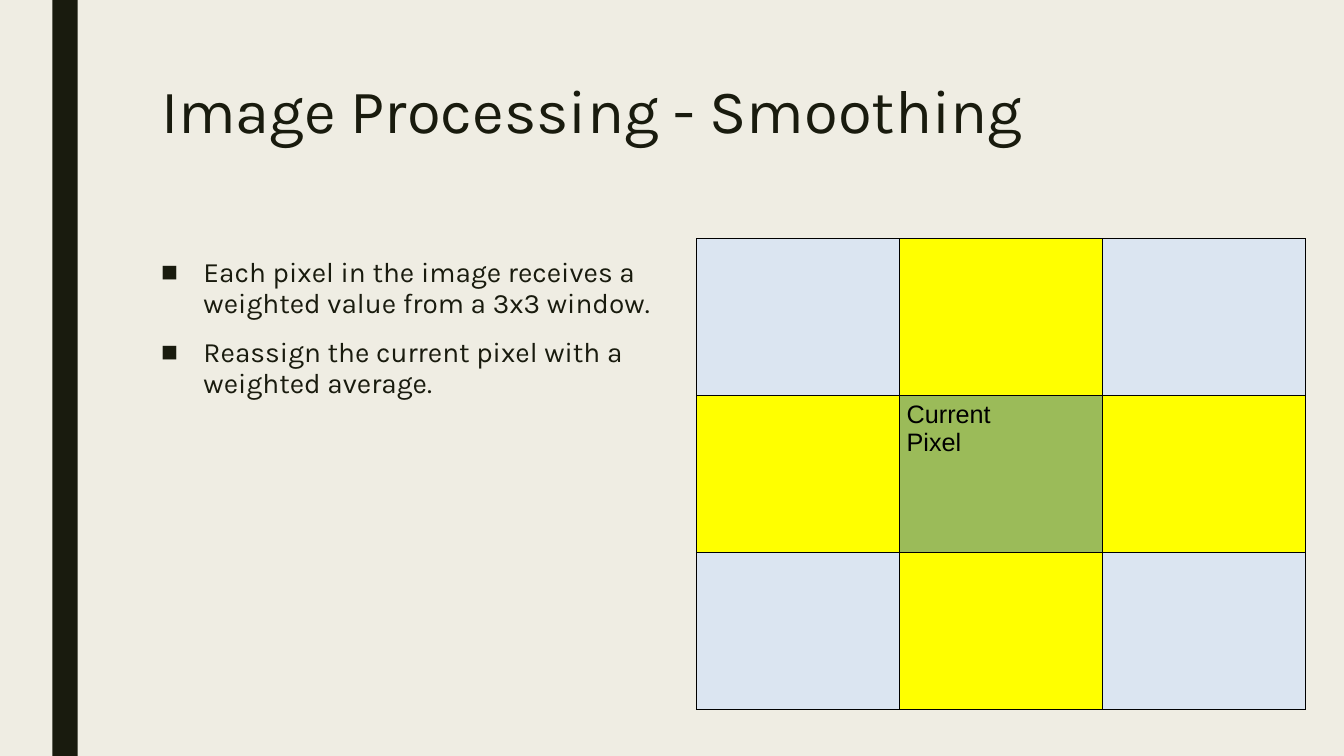
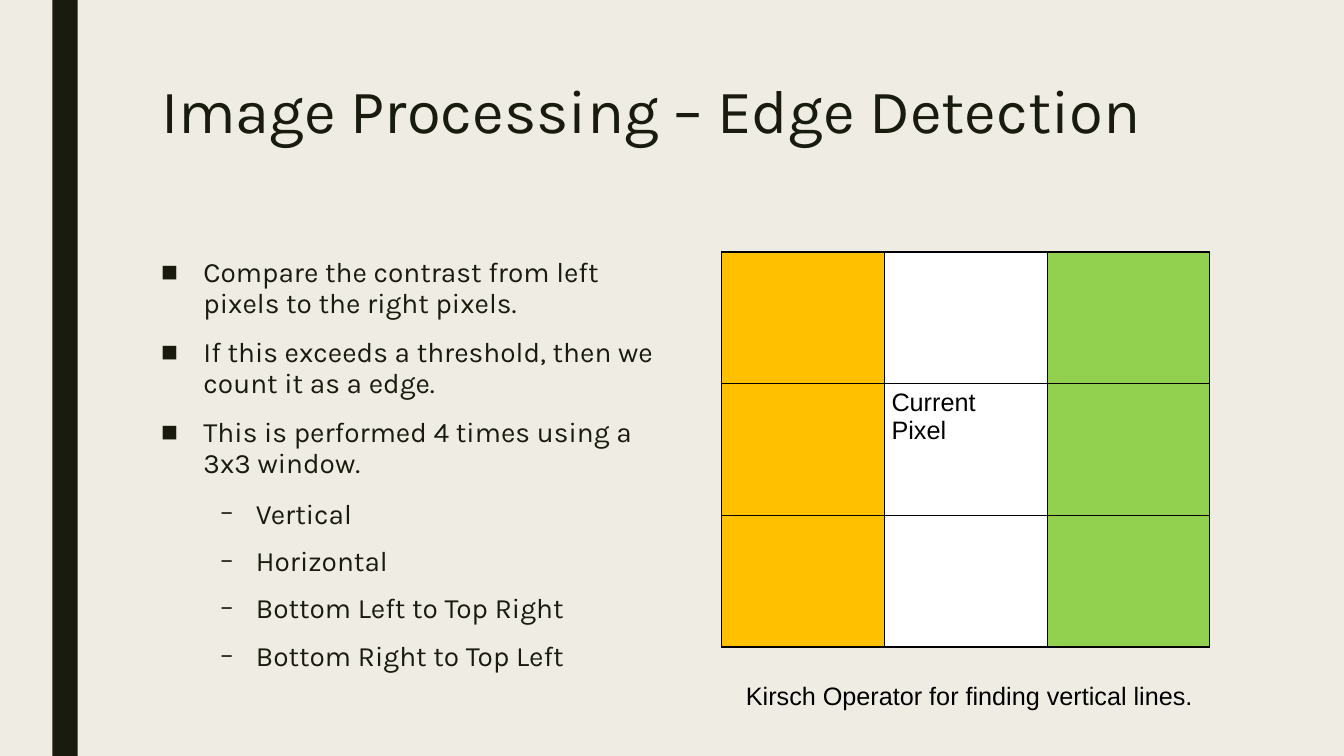
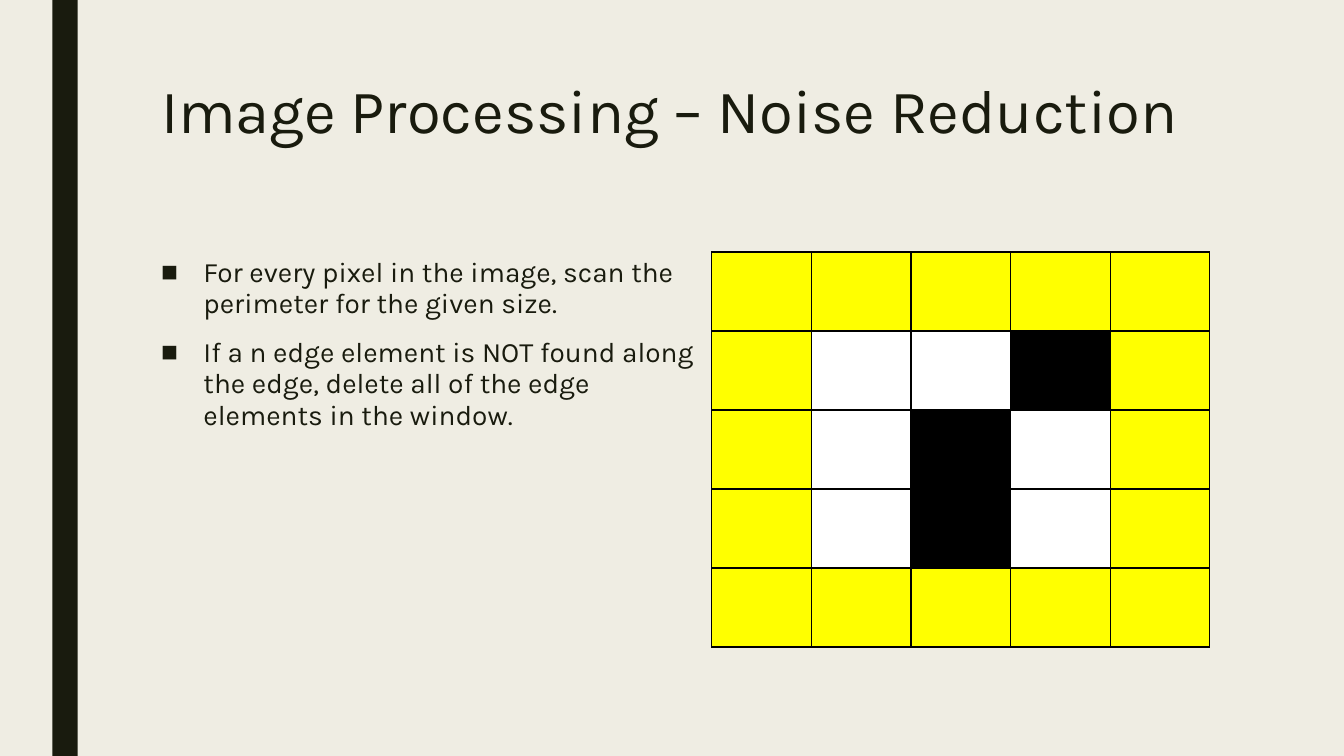
from lxml import etree
from pptx import Presentation
from pptx.dml.color import RGBColor
from pptx.enum.shapes import MSO_SHAPE
from pptx.enum.text import MSO_ANCHOR
from pptx.oxml.ns import qn
from pptx.util import Inches, Pt

RECTANGLE = MSO_SHAPE.RECTANGLE
TOP, MIDDLE = MSO_ANCHOR.TOP, MSO_ANCHOR.MIDDLE

INK = RGBColor(0x19, 0x1B, 0x0E)
PAPER = RGBColor(0xEF, 0xED, 0xE3)
BLACK = RGBColor(0x00, 0x00, 0x00)
PIXEL_COLORS = {
    "Y": RGBColor(0xFF, 0xFF, 0x00),
    "B": RGBColor(0xDB, 0xE5, 0xF1),
    "G": RGBColor(0x9B, 0xBB, 0x59),
    "O": RGBColor(0xFF, 0xC0, 0x00),
    "L": RGBColor(0x92, 0xD0, 0x50),
    "W": RGBColor(0xFF, 0xFF, 0xFF),
    "K": BLACK,
}

HEADING_FONT, LABEL_FONT = "Karla", "Arial"
SLIDE_WIDTH, SLIDE_HEIGHT = 13.33, 7.5
LEFT, RIGHT = 1.5, 12
TITLE_TOP, TITLE_HEIGHT = 0.75, 1.62
BODY_TOP, BODY_HEIGHT = 2.5, 3.92
BORDER_WIDTH = Pt(0.96)

# level: character, colour, size in percent, margin, hanging, space before, space after
BULLETS = (
    ("■", INK, 100, 0.42, 0.42, 10, 2),
    ("−", BLACK, 75, 0.94, 0.35, 11.3, 0),
)
CURRENT_PIXEL = ("Current", "Pixel")


def add_text_box(slide, left, top, width, height, anchor=TOP):
    box = slide.shapes.add_textbox(Inches(left), Inches(top), Inches(width), Inches(height))
    frame = box.text_frame
    frame.word_wrap = True
    frame.vertical_anchor = anchor
    return frame


def set_font(paragraph, name, size, color):
    paragraph.font.name = name
    paragraph.font.size = Pt(size)
    paragraph.font.color.rgb = color


def add_bullet(paragraph, level):
    character, color, percent, margin, hanging, before, after = BULLETS[level]
    properties = paragraph._p.get_or_add_pPr()
    properties.set("marL", str(Inches(margin)))
    properties.set("indent", str(-Inches(hanging)))
    bullet_color = etree.SubElement(properties, qn("a:buClr"))
    etree.SubElement(bullet_color, qn("a:srgbClr"), val=str(color))
    etree.SubElement(properties, qn("a:buSzPct"), val=str(percent * 1000))
    etree.SubElement(properties, qn("a:buFont"), typeface=LABEL_FONT)
    etree.SubElement(properties, qn("a:buChar"), char=character)
    paragraph.level = level
    paragraph.space_before = Pt(before)
    paragraph.space_after = Pt(after)


def add_bullets(slide, width, items):
    frame = add_text_box(slide, LEFT, BODY_TOP, width, BODY_HEIGHT)
    for index, (level, text) in enumerate(items):
        paragraph = frame.add_paragraph() if index else frame.paragraphs[0]
        paragraph.text = text
        add_bullet(paragraph, level)
        if index == 0:
            paragraph.space_before = Pt(0)
        paragraph.line_spacing = 0.94
        set_font(paragraph, HEADING_FONT, 20, INK)


def add_borders(cell):
    properties = cell._tc.get_or_add_tcPr()
    for side in ("lnL", "lnR", "lnT", "lnB"):
        line = etree.SubElement(properties, qn(f"a:{side}"), w=str(BORDER_WIDTH))
        fill = etree.SubElement(line, qn("a:solidFill"))
        etree.SubElement(fill, qn("a:srgbClr"), val=str(BLACK))


def add_pixel_window(slide, pattern, left, top=BODY_TOP, right=RIGHT, height=BODY_HEIGHT):
    frame = slide.shapes.add_table(
        len(pattern), len(pattern[0]),
        Inches(left), Inches(top), Inches(right - left), Inches(height))
    table = frame.table
    table.first_row = False
    table.horz_banding = False
    for row, symbols in enumerate(pattern):
        for column, symbol in enumerate(symbols):
            cell = table.cell(row, column)
            add_borders(cell)
            cell.fill.solid()
            cell.fill.fore_color.rgb = PIXEL_COLORS[symbol]
    return table


def label_current_pixel(table):
    cell = table.cell(1, 1)
    cell.margin_left = cell.margin_right = Inches(0.07)
    cell.text = "\n".join(CURRENT_PIXEL)
    for paragraph in cell.text_frame.paragraphs:
        set_font(paragraph, LABEL_FONT, 18, BLACK)


def add_caption(slide, text):
    frame = add_text_box(slide, 7.3, 6.71, RIGHT - 7.3, 0.38, MIDDLE)
    paragraph = frame.paragraphs[0]
    paragraph.text = text
    set_font(paragraph, LABEL_FONT, 18, BLACK)


def add_slide(presentation, title):
    slide = presentation.slides.add_slide(presentation.slide_layouts[6])
    slide.background.fill.solid()
    slide.background.fill.fore_color.rgb = PAPER
    band = slide.shapes.add_shape(
        RECTANGLE, Inches(0.52), 0, Inches(0.25), Inches(SLIDE_HEIGHT))
    band.shadow.inherit = False
    band.fill.solid()
    band.fill.fore_color.rgb = INK
    band.line.fill.background()
    frame = add_text_box(slide, LEFT, TITLE_TOP, RIGHT - LEFT, TITLE_HEIGHT)
    paragraph = frame.paragraphs[0]
    paragraph.text = title
    paragraph.line_spacing = 0.89
    set_font(paragraph, HEADING_FONT, 44, INK)
    return slide


def add_smoothing(presentation):
    slide = add_slide(presentation, "Image Processing - Smoothing")
    table = add_pixel_window(
        slide, ("BYB", "YGY", "BYB"), 6.91, top=2.37, right=12.95, height=4.67)
    label_current_pixel(table)
    add_bullets(slide, 5.27, (
        (0, "Each pixel in the image receives a weighted value from a 3x3 window."),
        (0, "Reassign the current pixel with a weighted average."),
    ))


def add_edge_detection(presentation):
    slide = add_slide(presentation, "Image Processing – Edge Detection")
    add_bullets(slide, 5.34, (
        (0, "Compare the contrast from left pixels to the right pixels."),
        (0, "If this exceeds a threshold, then we count it as a edge."),
        (0, "This is performed 4 times using a 3x3 window."),
        (1, "Vertical"),
        (1, "Horizontal"),
        (1, "Bottom Left to Top Right"),
        (1, "Bottom Right to Top Left"),
    ))
    label_current_pixel(add_pixel_window(slide, ("OWL",) * 3, 7.16))
    add_caption(slide, "Kirsch Operator for finding vertical lines.")


def add_noise_reduction(presentation):
    slide = add_slide(presentation, "Image Processing – Noise Reduction")
    add_pixel_window(slide, ("YYYYY", "YWWKY", "YWKWY", "YWKWY", "YYYYY"), 7.06)
    add_bullets(slide, 5.56, (
        (0, "For every pixel in the image, scan the perimeter for the given size."),
        (0, "If a n edge element is NOT found along the edge, "
            "delete all of the edge elements in the window."),
    ))


def main():
    presentation = Presentation()
    presentation.slide_width = Inches(SLIDE_WIDTH)
    presentation.slide_height = Inches(SLIDE_HEIGHT)
    add_smoothing(presentation)
    add_edge_detection(presentation)
    add_noise_reduction(presentation)
    presentation.save("out.pptx")


if __name__ == "__main__":
    main()
